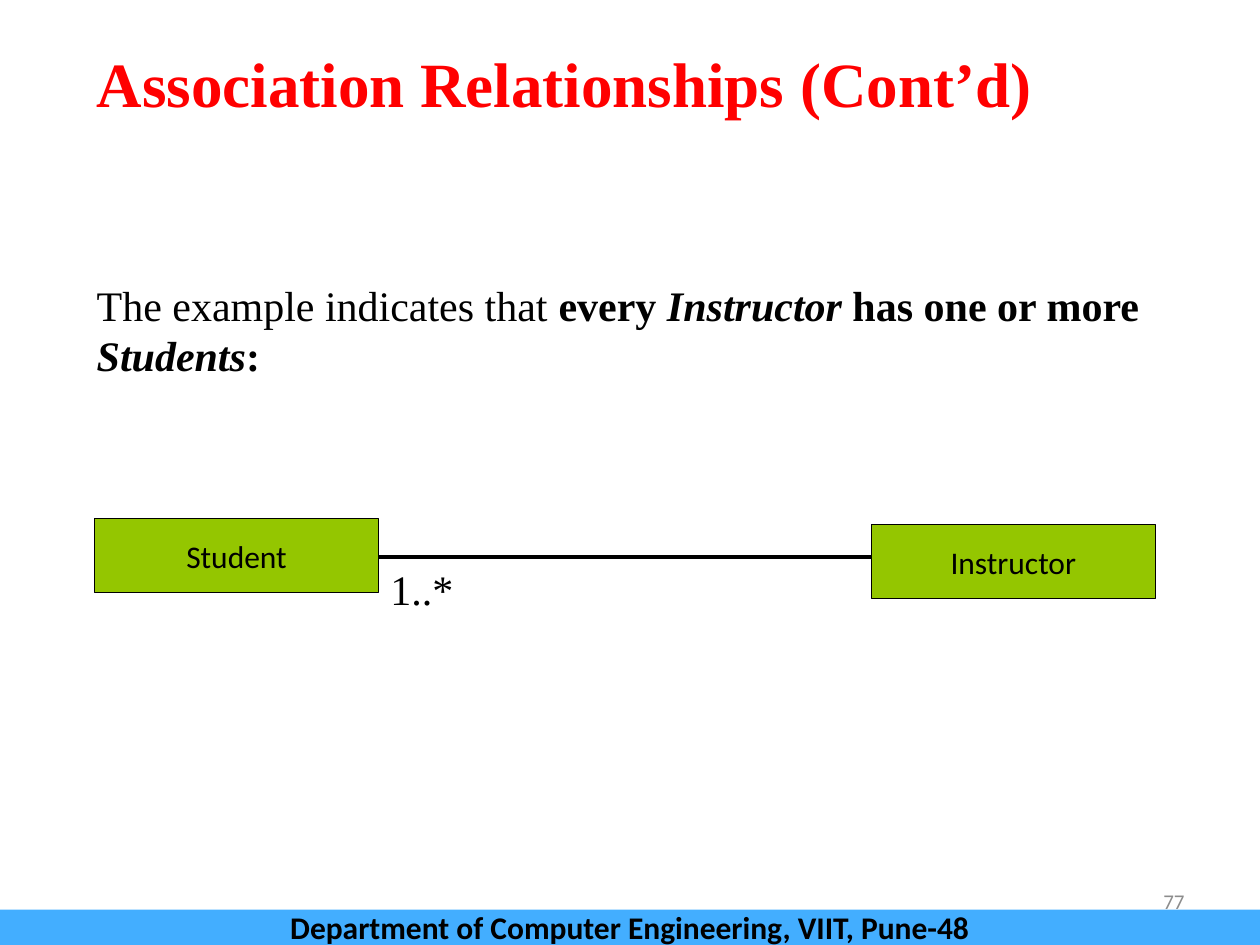
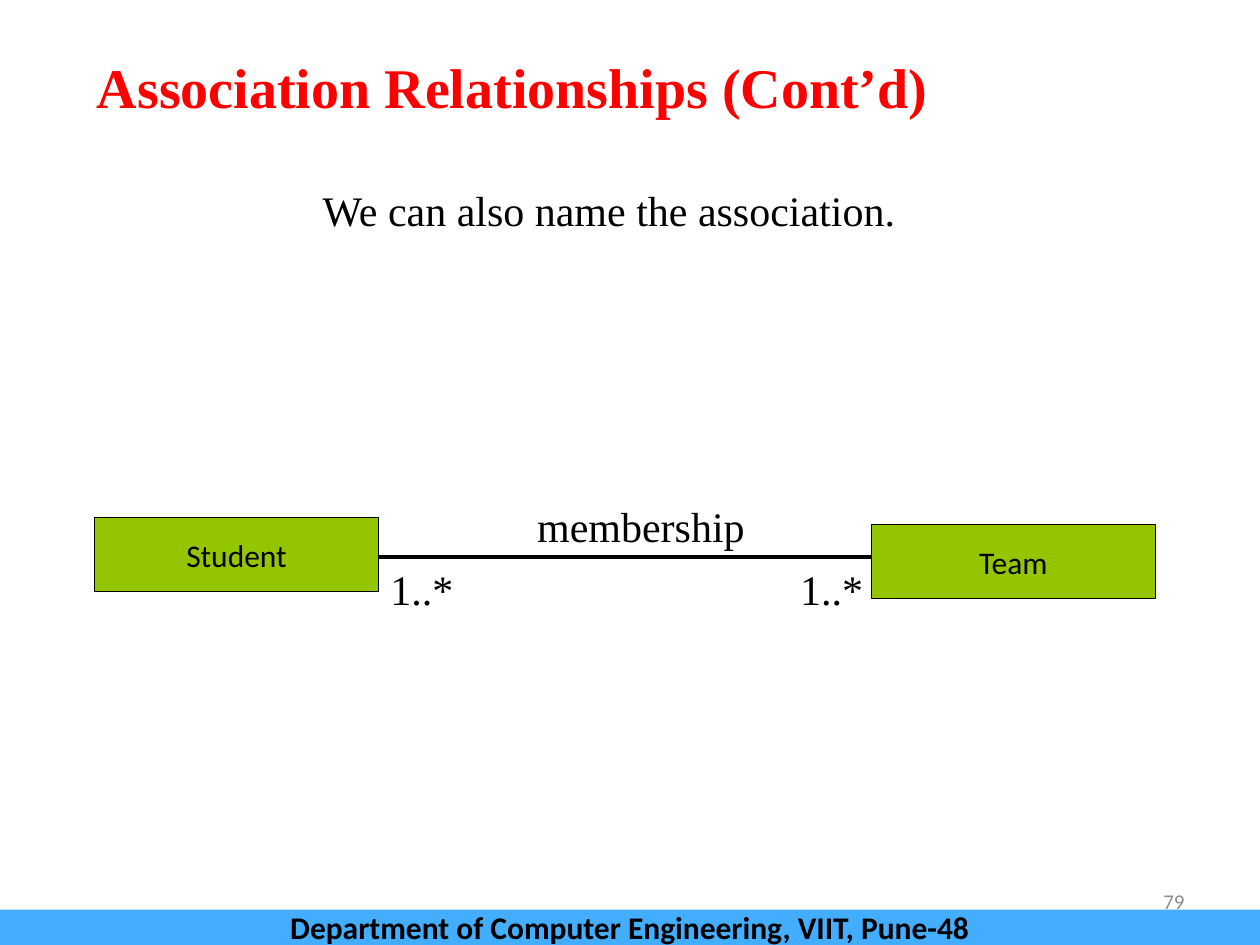
from lxml import etree
from pptx import Presentation
from pptx.dml.color import RGBColor
from pptx.enum.shapes import MSO_CONNECTOR, MSO_SHAPE
from pptx.enum.text import MSO_ANCHOR, MSO_AUTO_SIZE, PP_ALIGN
from pptx.oxml.ns import qn
from pptx.util import Cm, Pt

RECTANGLE = MSO_SHAPE.RECTANGLE
STRAIGHT = MSO_CONNECTOR.STRAIGHT
NO_AUTOFIT = MSO_AUTO_SIZE.NONE
TOP, MIDDLE, BOTTOM = MSO_ANCHOR.TOP, MSO_ANCHOR.MIDDLE, MSO_ANCHOR.BOTTOM
LEFT, CENTER, RIGHT = PP_ALIGN.LEFT, PP_ALIGN.CENTER, PP_ALIGN.RIGHT

SERIF, SANS = "Times New Roman", "Calibri"
RED, BLACK, GREY, GREEN, BLUE = "FF0000", "000000", "8C8C8C", "94C600", "43AEFF"

TITLE = "Association Relationships (Cont’d)"
FOOTER = "Department of Computer Engineering, VIIT, Pune-48"
SLIDES = [
    {
        "title_size": 36,
        "statement": [
            ("The example indicates that ", False, False),
            ("every ", True, False),
            ("Instructor", True, True),
            (" has one or more ", True, False),
            ("Students", True, True),
            (":", True, False),
        ],
        "statement_place": (1.7, 5.51, 22.53, 2.29),
        "statement_align": LEFT,
        "classes": [("Instructor", 17.57, 10.58), ("Student", 1.91, 10.46)],
        "labels": [("1..*", 7.62, 11.23, 1.9)],
        "number": "77",
    },
    {
        "title_size": 32,
        "statement": [("We can also name the association.", False, False)],
        "statement_place": (4.24, 3.6, 16.08, 1.27),
        "statement_align": CENTER,
        "classes": [("Team", 17.57, 10.58), ("Student", 1.91, 10.44)],
        "labels": [
            ("membership", 10.58, 9.96, 4.87),
            ("1..*", 7.62, 11.23, 2.1),
            ("1..*", 15.88, 11.23, 1.9),
        ],
        "number": "79",
    },
]

PAGE_WIDTH, PAGE_HEIGHT = 25.4, 19.05
TITLE_PLACE = (1.7, 1.06, 22.86, 1.48)
NUMBER_PLACE = (18.2, 17.65, 5.93, 1.02)
BAND_HEIGHT = 0.71
CLASS_WIDTH, CLASS_HEIGHT = 5.72, 1.48
LINE_LEFT, LINE_RIGHT, LINE_Y = 7.62, 17.78, 11.22
LABEL_HEIGHT = 1.27


def color(value):
    return RGBColor.from_string(value)


def write(box, spans, font, size, ink=BLACK, align=LEFT, anchor=TOP, wrap=True):
    frame = box.text_frame
    frame.auto_size = NO_AUTOFIT
    frame.word_wrap = wrap
    frame.vertical_anchor = anchor
    para = frame.paragraphs[0]
    para.alignment = align
    for text, bold, italic in spans:
        span = para.add_run()
        span.text = text
        span.font.name = font
        span.font.size = Pt(size)
        span.font.bold = bold
        span.font.italic = italic
        span.font.color.rgb = color(ink)


def add_text(page, place, *content, **style):
    box = page.shapes.add_textbox(*map(Cm, place))
    write(box, *content, **style)


def add_rectangle(page, place, fill, outline=None):
    box = page.shapes.add_shape(RECTANGLE, *map(Cm, place))
    box.shadow.inherit = False
    box.fill.solid()
    box.fill.fore_color.rgb = color(fill)
    if outline:
        box.line.color.rgb = color(outline)
        box.line.width = Pt(0.75)
    else:
        box.line.fill.background()
    return box


def add_title(page, size):
    title = page.shapes.title
    title.left, title.top, title.width, title.height = map(Cm, TITLE_PLACE)
    write(title, [(TITLE, True, False)], SERIF, size, RED, anchor=BOTTOM)


def add_association(page, classes, labels):
    ends = (LINE_LEFT, LINE_Y, LINE_RIGHT, LINE_Y)
    line = page.shapes.add_connector(STRAIGHT, *map(Cm, ends))
    line.line.color.rgb = color(BLACK)
    line.line.width = Pt(2.25)
    etree.SubElement(line._element.spPr, qn("a:effectLst"))
    for name, left, top in classes:
        place = (left, top, CLASS_WIDTH, CLASS_HEIGHT)
        box = add_rectangle(page, place, GREEN, BLACK)
        write(box, [(name, False, False)], SANS, 18,
              align=CENTER, anchor=MIDDLE, wrap=False)
    for text, left, top, width in labels:
        add_text(page, (left, top, width, LABEL_HEIGHT),
                 [(text, False, False)], SERIF, 24)


def add_footer(page, number):
    add_text(page, NUMBER_PLACE, [(number, False, False)], SANS, 12, GREY,
             align=RIGHT, anchor=MIDDLE)
    place = (0, PAGE_HEIGHT - BAND_HEIGHT, PAGE_WIDTH, BAND_HEIGHT)
    band = add_rectangle(page, place, BLUE)
    write(band, [(FOOTER, True, False)], SANS, 18, align=CENTER, anchor=MIDDLE)


def main():
    deck = Presentation()
    deck.slide_width, deck.slide_height = Cm(PAGE_WIDTH), Cm(PAGE_HEIGHT)
    title_only = deck.slide_layouts[5]
    for content in SLIDES:
        page = deck.slides.add_slide(title_only)
        add_title(page, content["title_size"])
        add_text(page, content["statement_place"], content["statement"],
                 SERIF, 24, align=content["statement_align"])
        add_association(page, content["classes"], content["labels"])
        add_footer(page, content["number"])
    deck.save("out.pptx")


if __name__ == "__main__":
    main()
